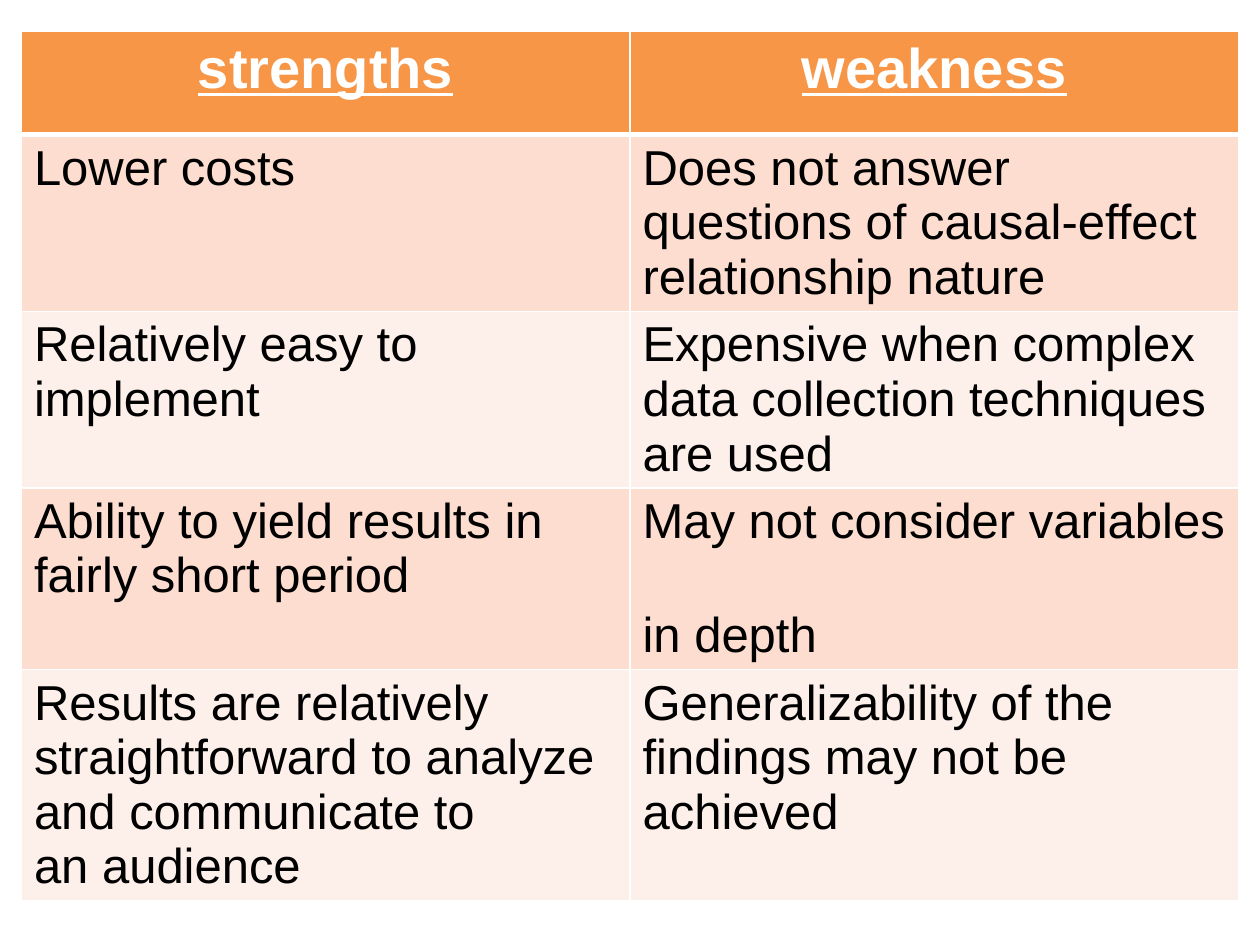
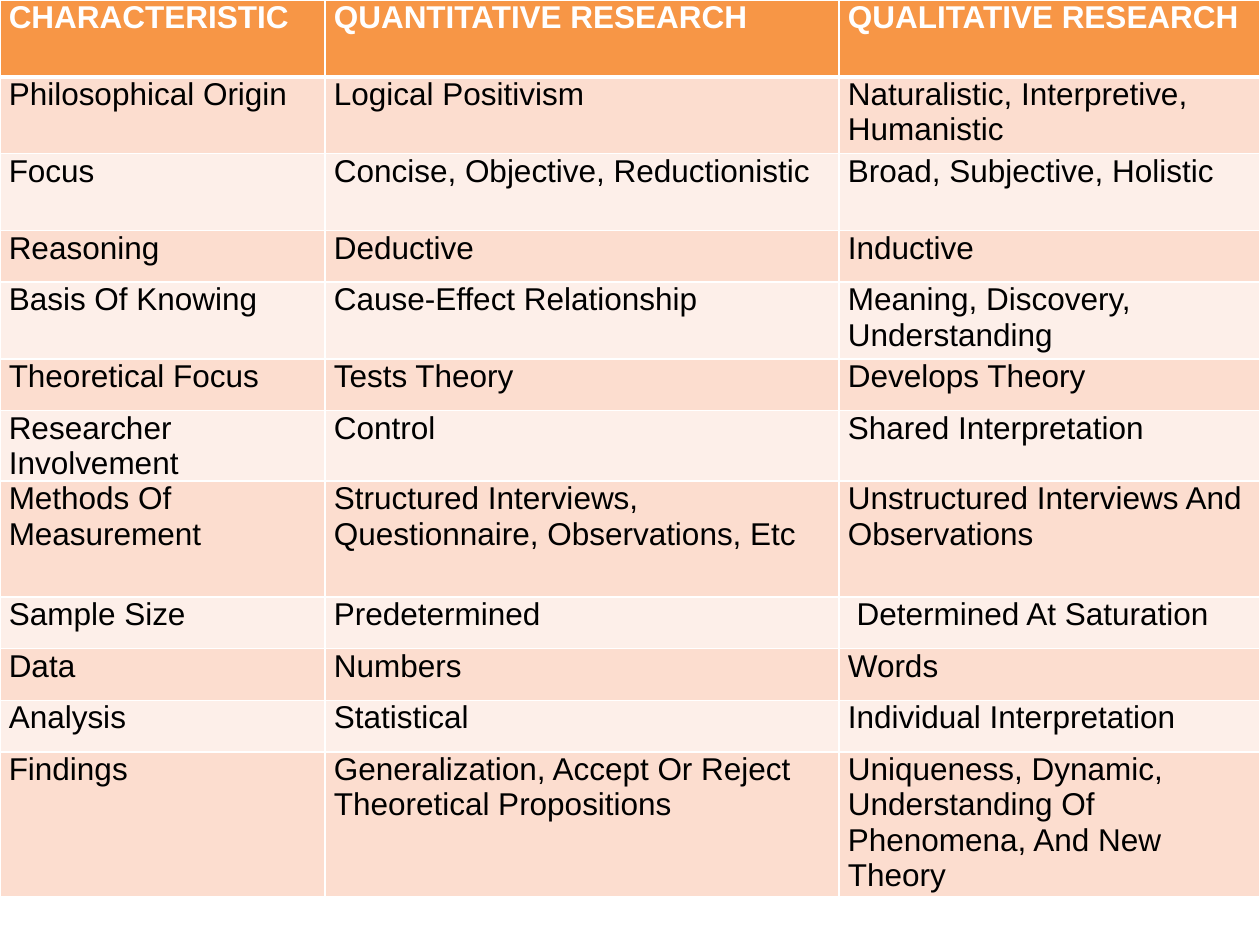
from dataclasses import dataclass

from lxml import etree
from pptx import Presentation
from pptx.dml.color import RGBColor
from pptx.enum.text import PP_ALIGN
from pptx.oxml.ns import qn
from pptx.util import Emu, Inches, Pt

LEFT, MID = PP_ALIGN.LEFT, PP_ALIGN.CENTER
FONT = "Arial"
COLORS = {
    "head": "F79646",
    "odd": "FCDDCF",
    "even": "FDEFE9",
    "line": "FFFFFF",
    "light": "FFFFFF",
    "dark": "000000",
}

# The slide is a grid of 100 columns by 75 rows
WIDE, HIGH = Inches(10), Inches(7.5)
COLS, ROWS = 100, 75
THIN, THICK = 1, 3


def across(n: float) -> Emu:
    return Emu(round(WIDE * n / COLS))


def down(n: float) -> Emu:
    return Emu(round(HIGH * n / ROWS))


@dataclass
class Style:
    head: int  # header size in points
    body: int  # body size in points
    align: PP_ALIGN  # header alignment
    under: bool  # header underline
    pad_x: float  # cell margins in grid units
    pad_y: float


@dataclass
class Grid:
    left: float
    top: float
    cols: list[float]
    rows: list[float]
    style: Style
    text: list[tuple[str, ...]]


PAIR = Grid(
    1.7, 2.5, [48.3] * 2, [8.2, 14, 14, 14, 18.3],
    Style(32, 28, MID, True, 1, 0.5),
    [
        ("strengths", "weakness"),
        ("Lower costs",
         "Does not answer questions of causal-effect relationship nature"),
        ("Relatively easy to implement",
         "Expensive when complex data collection techniques are used"),
        ("Ability to yield results in fairly short period",
         "May not consider variables \vin depth"),
        ("Results are relatively straightforward to analyze "
         "and communicate to \van audience",
         "Generalizability of the findings may not be achieved"),
    ],
)

TRIO = Grid(
    0, 0, [25.8, 40.8, 33.4],
    [6.1, 6.1, 6.1, 4.1, 6.1, 4.1, 5.6, 9.2, 4.1, 4.1, 4.1, 11.5],
    Style(18, 18, LEFT, False, 0.7, 0),
    [
        ("CHARACTERISTIC", "QUANTITATIVE RESEARCH", "QUALITATIVE RESEARCH"),
        ("Philosophical Origin", "Logical Positivism",
         "Naturalistic, Interpretive, Humanistic"),
        ("Focus", "Concise, Objective, Reductionistic",
         "Broad, Subjective, Holistic"),
        ("Reasoning", "Deductive", "Inductive"),
        ("Basis Of Knowing", "Cause-Effect Relationship",
         "Meaning, Discovery, Understanding"),
        ("Theoretical Focus", "Tests Theory", "Develops Theory"),
        ("Researcher Involvement", "Control", "Shared Interpretation"),
        ("Methods Of Measurement",
         "Structured Interviews, Questionnaire, Observations, Etc",
         "Unstructured Interviews And Observations"),
        ("Sample Size", "Predetermined", " Determined At Saturation"),
        ("Data", "Numbers", "Words"),
        ("Analysis", "Statistical", "Individual Interpretation"),
        ("Findings", "Generalization, Accept Or Reject Theoretical Propositions",
         "Uniqueness, Dynamic, Understanding Of Phenomena, And New Theory"),
    ],
)


def rgb(name: str) -> RGBColor:
    return RGBColor.from_string(COLORS[name])


def edge(cell, row: int) -> None:
    """Rule all four sides, with a thick line under the header."""
    props = cell._tc.get_or_add_tcPr()
    sides = {
        "L": THIN,
        "R": THIN,
        "T": THICK if row == 1 else THIN,
        "B": THICK if row == 0 else THIN,
    }
    for side, size in sides.items():
        line = etree.SubElement(props, qn(f"a:ln{side}"), w=str(Pt(size)))
        fill = etree.SubElement(line, qn("a:solidFill"))
        etree.SubElement(fill, qn("a:srgbClr"), val=COLORS["line"])


def fill_cell(cell, text: str, row: int, style: Style) -> None:
    top = row == 0
    cell.margin_left = cell.margin_right = across(style.pad_x)
    cell.margin_top = cell.margin_bottom = down(style.pad_y)
    edge(cell, row)
    cell.fill.solid()
    cell.fill.fore_color.rgb = rgb("head" if top else "odd" if row % 2 else "even")
    cell.text_frame.text = text
    for para in cell.text_frame.paragraphs:
        para.alignment = style.align if top else LEFT
        para.font.size = Pt(style.head if top else style.body)
        for run in para.runs:
            font = run.font
            font.name = FONT
            font.size = Pt(style.head if top else style.body)
            font.bold = top
            font.underline = top and style.under
            font.color.rgb = rgb("light" if top else "dark")


def draw(deck, grid: Grid) -> None:
    slide = deck.slides.add_slide(deck.slide_layouts[6])
    table = slide.shapes.add_table(
        len(grid.rows), len(grid.cols), across(grid.left), down(grid.top),
        across(sum(grid.cols)), down(sum(grid.rows)),
    ).table
    table.first_row = table.horz_banding = False
    for col, size in zip(table.columns, grid.cols):
        col.width = across(size)
    for row, size in zip(table.rows, grid.rows):
        row.height = down(size)
    for r, line in enumerate(grid.text):
        for c, text in enumerate(line):
            fill_cell(table.cell(r, c), text, r, grid.style)


def main() -> None:
    deck = Presentation()
    deck.slide_width, deck.slide_height = WIDE, HIGH
    for grid in (PAIR, TRIO):
        draw(deck, grid)
    deck.save("out.pptx")


if __name__ == "__main__":
    main()
